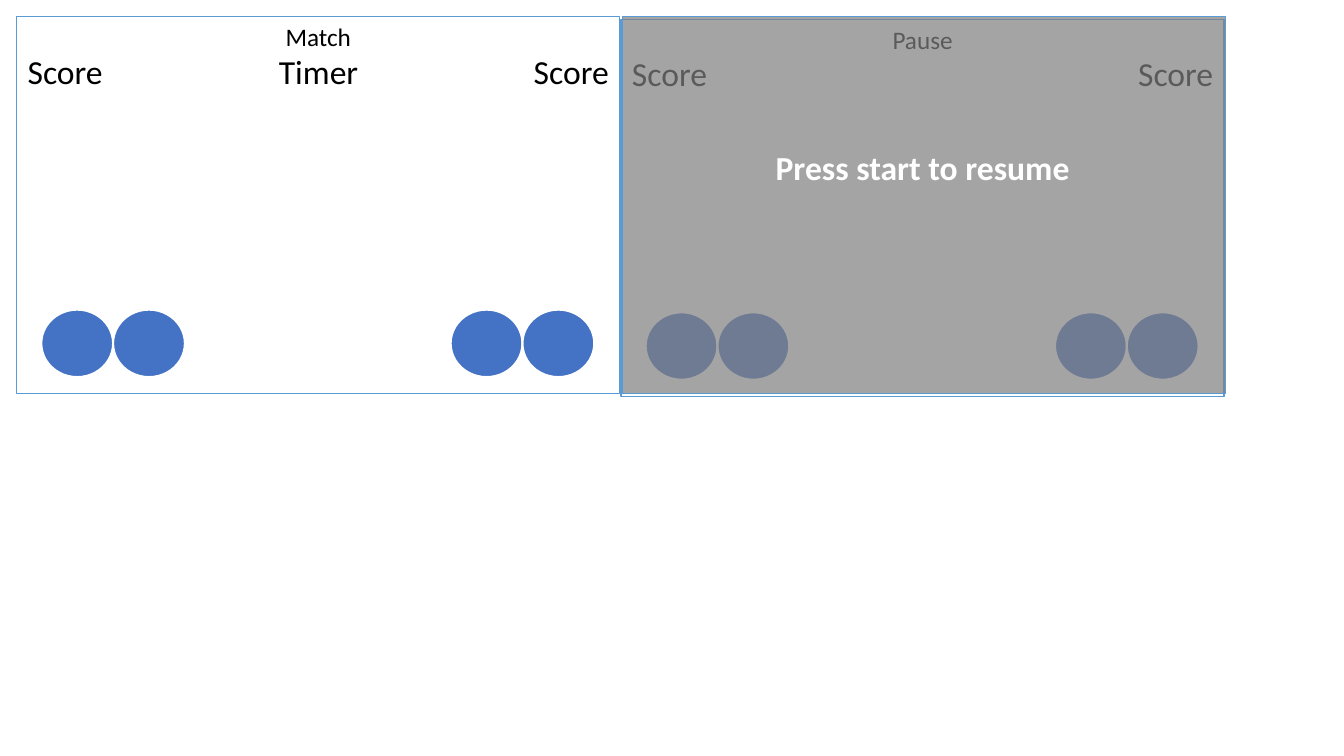
from dataclasses import dataclass
from typing import Optional

from lxml.etree import SubElement
from pptx import Presentation
from pptx.dml.color import RGBColor
from pptx.enum.shapes import MSO_SHAPE
from pptx.enum.text import MSO_ANCHOR, PP_ALIGN
from pptx.oxml.ns import qn
from pptx.shapes.autoshape import Shape
from pptx.shapes.group import GroupShape
from pptx.util import Pt


@dataclass(frozen=True)
class Theme:
    font: str = "Calibri"
    heading_size: float = 18
    label_size: float = 24
    black: RGBColor = RGBColor(0x00, 0x00, 0x00)
    white: RGBColor = RGBColor(0xFF, 0xFF, 0xFF)
    border: RGBColor = RGBColor(0x5B, 0x9B, 0xD5)
    disc: RGBColor = RGBColor(0x44, 0x72, 0xC4)
    veil: RGBColor = RGBColor(0x80, 0x80, 0x80)


@dataclass(frozen=True)
class Box:
    left: float
    top: float
    width: float
    height: float

    def inside(self, parent: "Box") -> "Box":
        return Box(parent.left + self.left, parent.top + self.top, self.width, self.height)


@dataclass(frozen=True)
class Screen:
    heading: str
    box: Box


THEME = Theme()
SCREEN_WIDTH, SCREEN_HEIGHT = 430.6, 269.3
LABEL_TOP, LABEL_HEIGHT = 12.6, 55.4
SCORE_WIDTH = 69.1
DISC_WIDTH, DISC_HEIGHT, DISC_TOP = 51.3, 48.2, 209.2
DISC_PAIR_LEFTS = (17.5, 309.9)

MATCH = Screen("Match", Box(12, 12, SCREEN_WIDTH, SCREEN_HEIGHT))
PAUSE = Screen("Pause", Box(443.7, 13.9, SCREEN_WIDTH, SCREEN_HEIGHT))
TIMER_BOX = Box(155.8, LABEL_TOP, 119.5, LABEL_HEIGHT)
VEIL_BOX = Box(444.6, 12, SCREEN_WIDTH, SCREEN_HEIGHT)
MESSAGE_BOX = Box(513.2, 93.6, 291.6, LABEL_HEIGHT)


def write_text(shape: Shape, text: str, *, size: float = THEME.label_size,
               color: RGBColor = THEME.black, bold: bool = False,
               anchor: MSO_ANCHOR = MSO_ANCHOR.MIDDLE,
               line_spacing: float = 0.9, space_before: float = 10) -> None:
    frame = shape.text_frame
    frame.word_wrap = True
    frame.vertical_anchor = anchor
    frame.margin_left = frame.margin_right = Pt(0)
    paragraph = frame.paragraphs[0]
    paragraph.alignment = PP_ALIGN.CENTER
    paragraph.line_spacing = line_spacing
    paragraph.space_before = Pt(space_before)
    run = paragraph.add_run()
    run.text = text
    run.font.name = THEME.font
    run.font.size = Pt(size)
    run.font.bold = bold
    run.font.color.rgb = color


def add_figure(group: GroupShape, kind: MSO_SHAPE, box: Box, fill: RGBColor,
               line: RGBColor, line_width: float = 1,
               opacity: Optional[int] = None) -> Shape:
    shape = group.shapes.add_shape(kind, Pt(box.left), Pt(box.top), Pt(box.width), Pt(box.height))
    shape.shadow.inherit = False
    shape.fill.solid()
    shape.fill.fore_color.rgb = fill
    shape.line.color.rgb = line
    shape.line.width = Pt(line_width)
    if opacity is not None:
        color = shape.element.spPr.find(qn("a:solidFill")).find(qn("a:srgbClr"))
        SubElement(color, qn("a:alpha")).set("val", str(opacity * 1000))
    return shape


def add_label(group: GroupShape, text: str, box: Box, *,
              color: RGBColor = THEME.black, bold: bool = False) -> None:
    label = group.shapes.add_textbox(Pt(box.left), Pt(box.top), Pt(box.width), Pt(box.height))
    write_text(label, text, color=color, bold=bold)


def add_screen(group: GroupShape, screen: Screen) -> None:
    panel = add_figure(group, MSO_SHAPE.RECTANGLE, screen.box, THEME.white, THEME.border)
    write_text(panel, screen.heading, size=THEME.heading_size, anchor=MSO_ANCHOR.TOP,
               line_spacing=1, space_before=0)
    for pair_left in DISC_PAIR_LEFTS:
        for position in range(2):
            disc = Box(pair_left + position * DISC_WIDTH, DISC_TOP, DISC_WIDTH, DISC_HEIGHT)
            add_figure(group, MSO_SHAPE.OVAL, disc.inside(screen.box),
                       THEME.disc, THEME.white, 1.5)
    for score_left in (0, SCREEN_WIDTH - SCORE_WIDTH):
        score = Box(score_left, LABEL_TOP, SCORE_WIDTH, LABEL_HEIGHT)
        add_label(group, "Score", score.inside(screen.box))


def main() -> None:
    presentation = Presentation()
    presentation.slide_width = Pt(960)
    presentation.slide_height = Pt(540)
    slide = presentation.slides.add_slide(presentation.slide_layouts[6])

    match_group = slide.shapes.add_group_shape()
    add_screen(match_group, MATCH)
    add_label(match_group, "Timer", TIMER_BOX.inside(MATCH.box))

    pause_group = slide.shapes.add_group_shape()
    add_screen(pause_group, PAUSE)
    add_figure(pause_group, MSO_SHAPE.RECTANGLE, VEIL_BOX, THEME.veil, THEME.border, opacity=71)
    add_label(pause_group, "Press start to resume", MESSAGE_BOX, color=THEME.white, bold=True)

    presentation.save("out.pptx")


if __name__ == "__main__":
    main()
